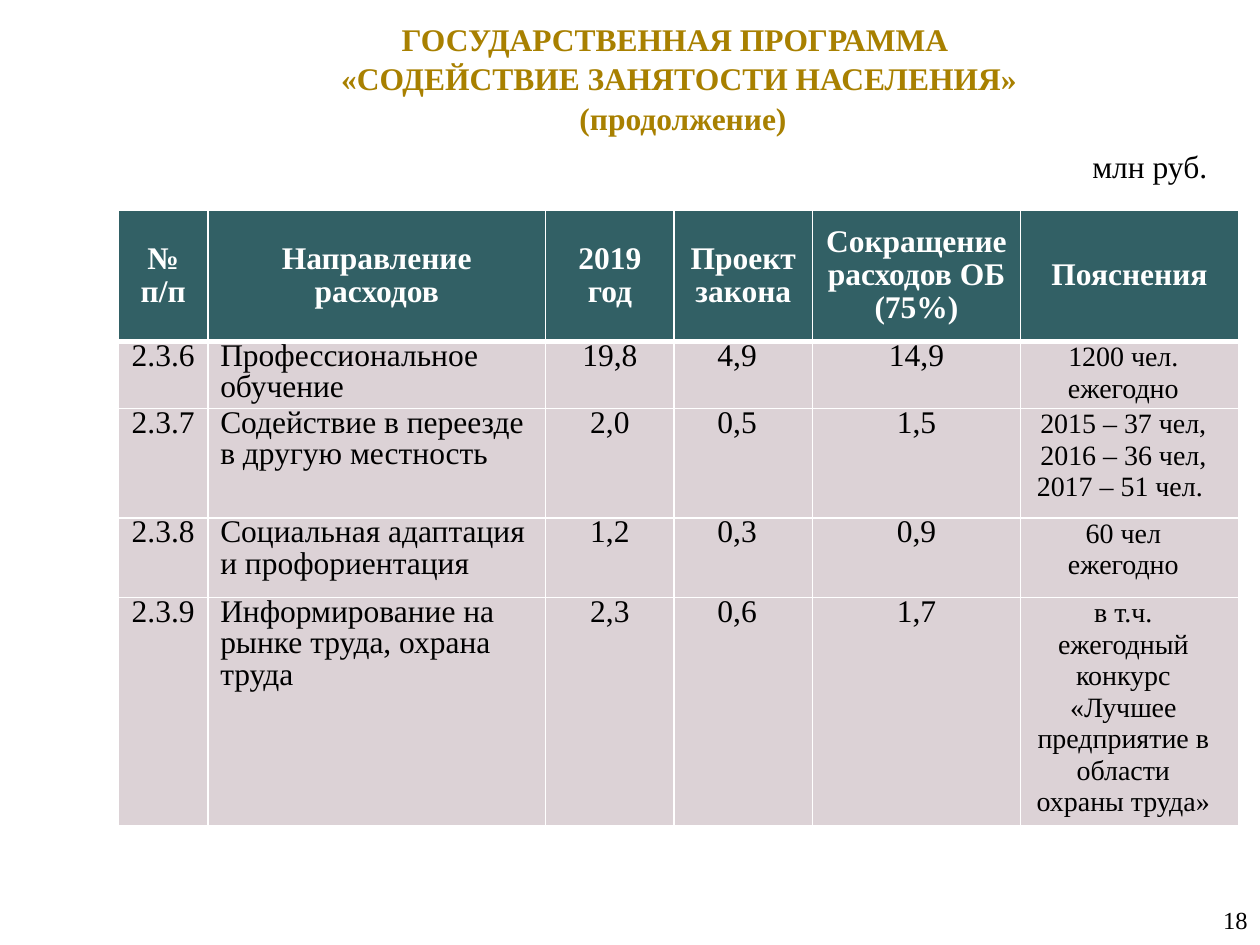
from lxml import etree
from pptx import Presentation
from pptx.dml.color import RGBColor
from pptx.enum import text as t
from pptx.oxml import ns
from pptx.util import Cm, Pt

THEME = {
    "font": "Times New Roman",
    "gold": "A88000", "teal": "326065", "rose": "DCD2D6",
    "white": "FFFFFF", "black": "000000",
    "body": 18, "note": 16, "page": 14,
}
TITLE = "ГОСУДАРСТВЕННАЯ ПРОГРАММА \v«СОДЕЙСТВИЕ ЗАНЯТОСТИ НАСЕЛЕНИЯ»\v (продолжение)"
UNIT = "млн руб."
PAGE = "18"
HEAD = ("№\nп/п", "Направление расходов", "2019 год", "Проект закона",
        "Сокращение расходов ОБ (75%)", "Пояснения")
ROWS = [
    ("2.3.6", "Профессиональное обучение", "19,8", "4,9", "14,9",
     "1200 чел. ежегодно"),
    ("2.3.7", "Содействие в переезде в другую местность", "2,0", "0,5", "1,5",
     "2015 – 37 чел,\n2016 – 36 чел, 2017 – 51 чел. "),
    ("2.3.8", "Социальная адаптация и профориентация", "1,2", "0,3", "0,9",
     "60 чел ежегодно"),
    ("2.3.9", "Информирование на рынке труда, охрана труда", "2,3", "0,6", "1,7",
     "в т.ч. ежегодный конкурс «Лучшее предприятие в области охраны труда»"),
]
WIDTHS = (1.8, 6.81, 2.59, 2.79, 4.19, 4.4)
HEIGHTS = (2.64, 1.35, 2.21, 1.6, 4.6)
NAME, PROJECT, NOTES = 1, 3, 5
ALIGN, ANCHOR = t.PP_ALIGN, t.MSO_ANCHOR


def color(key):
    return RGBColor.from_string(THEME[key])


def write(frame, words, size="body", ink="black", bold=False,
          align=ALIGN.CENTER, gap=None):
    frame.text = words
    frame.word_wrap = True
    for par in frame.paragraphs:
        par.alignment = align
        if gap:
            par.line_spacing = gap
        for run in par.runs:
            font = run.font
            font.name = THEME["font"]
            font.size = Pt(THEME[size])
            font.bold = bold
            font.color.rgb = color(ink)


def place(shape, left, top, width, height):
    shape.left, shape.top = Cm(left), Cm(top)
    shape.width, shape.height = Cm(width), Cm(height)


def edge(cell, base):
    """Draw white cell borders; base is the width of the lower one."""
    props = cell._tc.get_or_add_tcPr()
    for spot, (side, width) in enumerate(zip("LRTB", (1, 1, 1, base))):
        line = etree.Element(ns.qn(f"a:ln{side}"), w=str(Pt(width)))
        fill = etree.SubElement(line, ns.qn("a:solidFill"))
        etree.SubElement(fill, ns.qn("a:srgbClr"), val=THEME["white"])
        props.insert(spot, line)


def fill_table(grid):
    for col, width in zip(grid.columns, WIDTHS):
        col.width = Cm(width)
    for row, height in zip(grid.rows, HEIGHTS):
        row.height = Cm(height)
    for r, line in enumerate([HEAD, *ROWS]):
        for c, words in enumerate(line):
            cell, top = grid.cell(r, c), r == 0
            wide = not top and c in (PROJECT, NOTES)
            cell.margin_left = Cm(0.25)
            cell.margin_right = Cm(0.5 if wide else 0.25)
            cell.margin_top = cell.margin_bottom = 0
            cell.fill.solid()
            cell.fill.fore_color.rgb = color("teal" if top else "rose")
            edge(cell, 3 if top else 1)
            if top:
                cell.vertical_anchor = ANCHOR.MIDDLE
                write(cell.text_frame, words, ink="white", bold=True, gap=0.95)
            else:
                write(cell.text_frame, words, gap=Pt(18),
                      size="note" if c == NOTES else "body",
                      align=ALIGN.LEFT if c == NAME else ALIGN.CENTER)


def main():
    deck = Presentation()
    deck.slide_width, deck.slide_height = Cm(25.4), Cm(19.05)
    slide = deck.slides.add_slide(deck.slide_layouts[5])

    title = slide.shapes.title
    place(title, 2.26, 0.1, 22.86, 2.92)
    title.text_frame.vertical_anchor = ANCHOR.MIDDLE
    write(title.text_frame, TITLE, ink="gold", bold=True, gap=1.05)

    frame = slide.shapes.add_table(
        len(HEIGHTS), len(WIDTHS), Cm(2.39), Cm(4.24),
        Cm(sum(WIDTHS)), Cm(sum(HEIGHTS)))
    fill_table(frame.table)

    unit = slide.shapes.add_textbox(Cm(21.77), Cm(2.84), Cm(2.97), Cm(1.02))
    write(unit.text_frame, UNIT, align=ALIGN.LEFT)
    unit.text_frame.word_wrap = False

    page = slide.shapes.add_textbox(Cm(19.48), Cm(18.03), Cm(5.92), Cm(1.02))
    page.text_frame.vertical_anchor = ANCHOR.MIDDLE
    write(page.text_frame, PAGE, size="page", align=ALIGN.RIGHT)

    deck.save("out.pptx")


if __name__ == "__main__":
    main()
